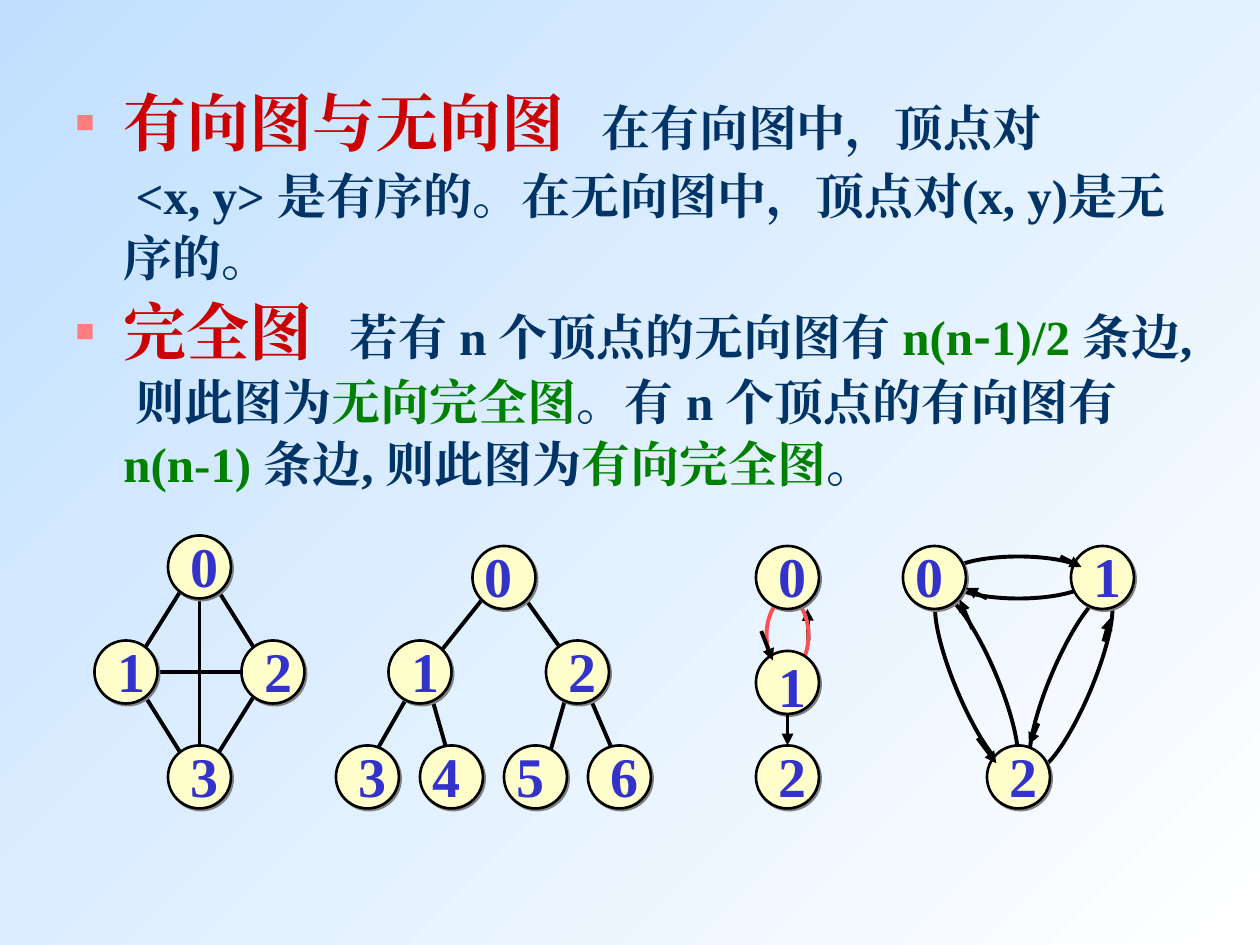
from dataclasses import dataclass
from typing import NamedTuple

from lxml import etree
from pptx import Presentation
from pptx.dml.color import RGBColor
from pptx.enum.shapes import MSO_CONNECTOR, MSO_SHAPE
from pptx.enum.text import MSO_ANCHOR, MSO_AUTO_SIZE
from pptx.oxml.ns import qn
from pptx.util import Emu, Inches, Pt

STRAIGHT = MSO_CONNECTOR.STRAIGHT
OVAL = MSO_SHAPE.OVAL
COLUMNS, ROWS = 120, 90
WIDTH, HEIGHT = Inches(10), Inches(7.5)
NODE_SIZE = 6
TITLE_AND_CONTENT = 1


@dataclass(frozen=True)
class Theme:
    latin: str = "Times New Roman"
    hyphen: str = "Noto Sans CJK SC"
    sky: str = "C1E0FF"
    white: str = "FFFFFF"
    term: str = "CC0000"
    body: str = "003366"
    accent: str = "008000"
    bullet: str = "FF7C80"
    node: str = "FFFFCC"
    shadow: str = "808080"
    label: str = "3333CC"
    edge: str = "000000"
    loop: str = "FF5050"
    term_size: float = 36
    body_size: float = 28
    gap_size: float = 21
    label_size: float = 32
    edge_width: float = 2.25
    node_width: float = 1.5


THEME = Theme()


class Span(NamedTuple):
    text: str
    color: str = THEME.body
    size: float = THEME.body_size
    font: str = THEME.latin


class Node(NamedTuple):
    label: str
    column: float
    row: float
    shift: float = 1
    lift: float = 1


class Edge(NamedTuple):
    start: tuple[float, float]
    end: tuple[float, float]
    arrow: bool = False


class Loop(NamedTuple):
    column: float
    row: float
    columns: float
    rows: float
    rotation: float = 0
    color: str = THEME.edge


GAP = Span("　", size=THEME.gap_size)
PARAGRAPHS = [
    (True, [Span("有向图与无向图", THEME.term, THEME.term_size), GAP, Span("在有向图中，顶点对")]),
    (False, [Span(" <x, y> 是有序的。在无向图中，顶点对(x, y)是无序的。")]),
    (True, [
        Span("完全图", THEME.term, THEME.term_size), GAP,
        Span("若有 n 个顶点的无向图有 "), Span("n(n", THEME.accent),
        Span("-", THEME.accent, font=THEME.hyphen), Span("1)/2 ", THEME.accent),
        Span("条边, 则此图为"), Span("无向完全图", THEME.accent),
        Span("。有 n 个顶点的有向图有"), Span("n(n-1) ", THEME.accent),
        Span("条边, 则此图为"), Span("有向完全图", THEME.accent), Span("。"),
    ]),
]
NODES = [
    Node("0", 16, 51), Node("1", 9, 61), Node("2", 23, 61), Node("3", 16, 71),
    Node("0", 45, 52, shift=0), Node("1", 37, 61), Node("2", 52, 61),
    Node("3", 32, 71), Node("4", 40, 71, shift=0), Node("5", 48, 71, shift=0), Node("6", 56, 71),
    Node("0", 72, 52), Node("1", 72, 62, lift=0.5), Node("2", 72, 71),
    Node("0", 86, 52, shift=0), Node("1", 102, 52), Node("2", 94, 71),
]
LOOPS = [
    Loop(73, 57, 4, 7, color=THEME.loop),
    Loop(100, 56, 4, 18, 22.8),
    Loop(91, 56, 4, 18, 337.2),
    Loop(90, 53, 14, 4),
]
EDGES = [
    Edge((50, 57), (55, 64)), Edge((54, 66), (52, 73)), Edge((56, 66), (59, 73)),
    Edge((46, 57), (42, 62)), Edge((41, 66), (43, 73)), Edge((39, 66), (35, 73)),
    Edge((13, 65), (18, 73)), Edge((20, 55), (25, 63)), Edge((25, 65), (20, 73)),
    Edge((18, 55), (13, 63)), Edge((14, 64), (25, 64)), Edge((19, 56), (19, 74)),
]
RETURN_ARROW = Edge((77, 61), (76.9, 58), True)
ARROWS = [
    Edge((75, 68), (75, 71), True), Edge((101, 53), (103, 54), True),
    Edge((94, 57), (92, 56), True), Edge((93.1, 70.3), (94.9, 72.7), True),
    Edge((92.6, 59.9), (91.4, 57.1), True), Edge((98.9, 68.9), (98, 70.9), True),
    Edge((105.1, 61.1), (105.7, 58.9), True), Edge((72.5, 60.1), (73.6, 62.9), True),
]


def across(columns: float) -> Emu:
    """Turn grid columns into a length."""
    return Emu(round(WIDTH * columns / COLUMNS))


def down(rows: float) -> Emu:
    """Turn grid rows into a length."""
    return Emu(round(HEIGHT * rows / ROWS))


def add_child(parent, tag: str, **attributes: str):
    """Append a DrawingML element to its parent."""
    return etree.SubElement(parent, qn(tag), attributes)


def style_font(font, color: str, size: float, name: str = THEME.latin) -> None:
    """Give a font its face, size and colour in bold."""
    font.name, font.size, font.bold = name, Pt(size), True
    font.color.rgb = RGBColor.from_string(color)


def style_line(line, color: str, width: float) -> None:
    """Set the colour and width of a line."""
    line.color.rgb = RGBColor.from_string(color)
    line.width = Pt(width)


def draw_background(slide) -> None:
    """Fill the slide with a diagonal gradient."""
    fill = slide.background.fill
    fill.gradient()
    fill.gradient_angle = 135
    for stop, color in zip(fill.gradient_stops, (THEME.white, THEME.sky)):
        stop.color.rgb = RGBColor.from_string(color)


def write_body(slide) -> None:
    """Place the definitions in the body placeholder."""
    body = slide.placeholders[1]
    body.left, body.top, body.width, body.height = across(6), down(7), across(108), down(41)
    frame = body.text_frame
    frame.auto_size, frame.vertical_anchor = MSO_AUTO_SIZE.NONE, MSO_ANCHOR.TOP
    for index, (bulleted, spans) in enumerate(PARAGRAPHS):
        paragraph = frame.add_paragraph() if index else frame.paragraphs[0]
        paragraph.space_before, paragraph.line_spacing = Pt(1.8), 1.05
        properties = paragraph._p.get_or_add_pPr()
        properties.set("marL", str(Inches(0.38)))
        properties.set("indent", str(Inches(-0.38) if bulleted else 0))
        if bulleted:
            add_child(add_child(properties, "a:buClr"), "a:srgbClr", val=THEME.bullet)
            add_child(properties, "a:buSzPct", val="50000")
            add_child(properties, "a:buFont", typeface=THEME.latin)
            add_child(properties, "a:buChar", char="■")
        else:
            add_child(properties, "a:buNone")
        for span in spans:
            run = paragraph.add_run()
            run.text = span.text
            style_font(run.font, span.color, span.size, span.font)
            add_child(run._r.get_or_add_rPr(), "a:ea", typeface=THEME.latin)


def draw_edge(slide, edge: Edge) -> None:
    """Draw a straight edge, with an arrowhead if directed."""
    (left, top), (right, bottom) = edge.start, edge.end
    connector = slide.shapes.add_connector(STRAIGHT, across(left), down(top), across(right), down(bottom))
    style_line(connector.line, THEME.edge, THEME.edge_width)
    if edge.arrow:
        add_child(connector.line._get_or_add_ln(), "a:tailEnd", type="triangle")
    add_child(connector._element.spPr, "a:effectLst")


def draw_loop(slide, loop: Loop) -> None:
    """Draw the outline that carries a pair of curved edges."""
    shape = slide.shapes.add_shape(
        OVAL, across(loop.column), down(loop.row), across(loop.columns), down(loop.rows))
    shape.rotation = loop.rotation
    shape.shadow.inherit = False
    shape.fill.background()
    style_line(shape.line, loop.color, THEME.edge_width)


def draw_node(slide, node: Node) -> None:
    """Draw a vertex circle with a hard shadow."""
    shape = slide.shapes.add_shape(
        OVAL, across(node.column), down(node.row), across(NODE_SIZE), down(NODE_SIZE))
    shape.fill.solid()
    shape.fill.fore_color.rgb = RGBColor.from_string(THEME.node)
    style_line(shape.line, THEME.edge, THEME.node_width)
    effects = add_child(shape._element.spPr, "a:effectLst")
    shadow = add_child(effects, "a:outerShdw", dist=str(Pt(1.4)), dir="2700000", algn="ctr", rotWithShape="0")
    add_child(shadow, "a:srgbClr", val=THEME.shadow)


def write_label(slide, node: Node) -> None:
    """Write the number of a vertex."""
    box = slide.shapes.add_textbox(
        across(node.column + node.shift), down(node.row - node.lift), across(5), down(7.7))
    frame = box.text_frame
    frame.word_wrap, frame.auto_size = False, MSO_AUTO_SIZE.SHAPE_TO_FIT_TEXT
    paragraph = frame.paragraphs[0]
    paragraph.text = node.label
    style_font(paragraph.font, THEME.label, THEME.label_size)


def main() -> None:
    """Build and save the slide."""
    presentation = Presentation()
    presentation.slide_width, presentation.slide_height = WIDTH, HEIGHT
    slide = presentation.slides.add_slide(presentation.slide_layouts[TITLE_AND_CONTENT])
    title = slide.shapes.title._element
    title.getparent().remove(title)
    draw_background(slide)
    write_body(slide)
    layers = (
        (draw_edge, [RETURN_ARROW]), (draw_loop, LOOPS), (draw_edge, EDGES),
        (draw_node, NODES), (draw_edge, ARROWS), (write_label, NODES),
    )
    for draw, items in layers:
        for item in items:
            draw(slide, item)
    presentation.save("out.pptx")


if __name__ == "__main__":
    main()
